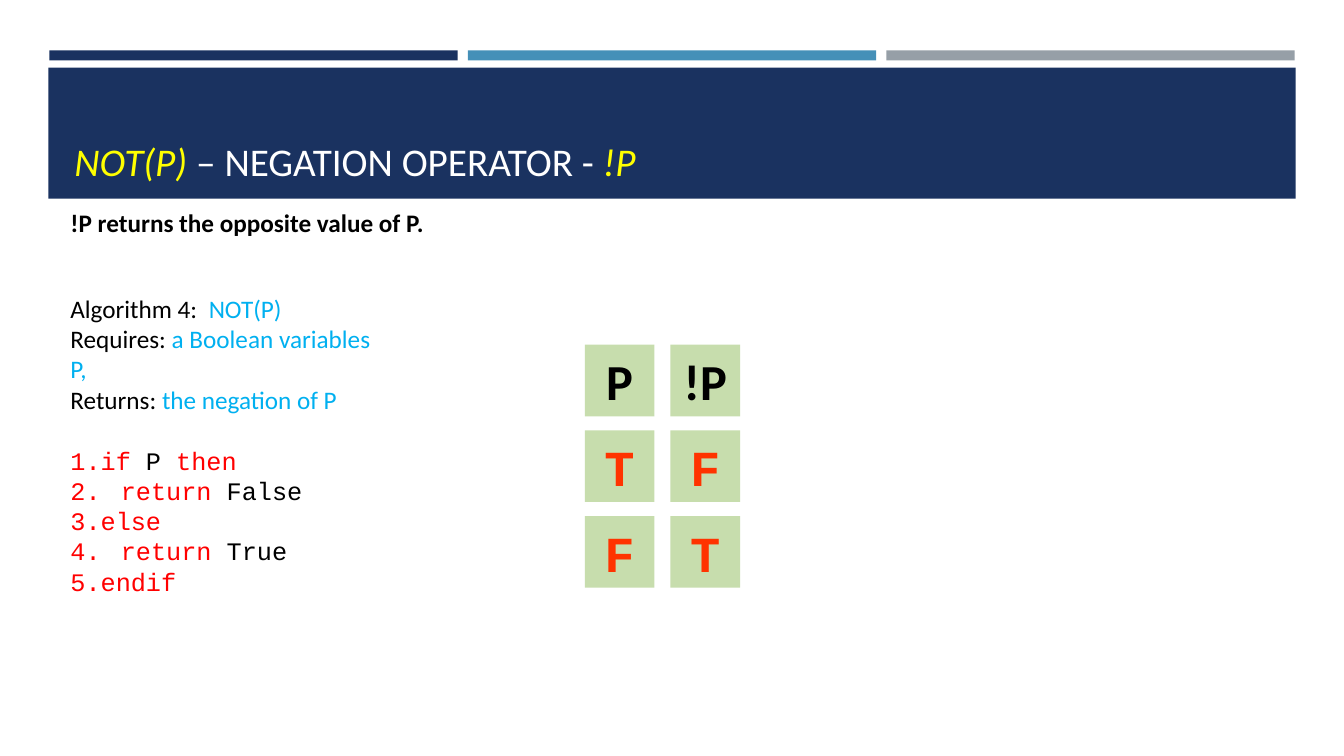
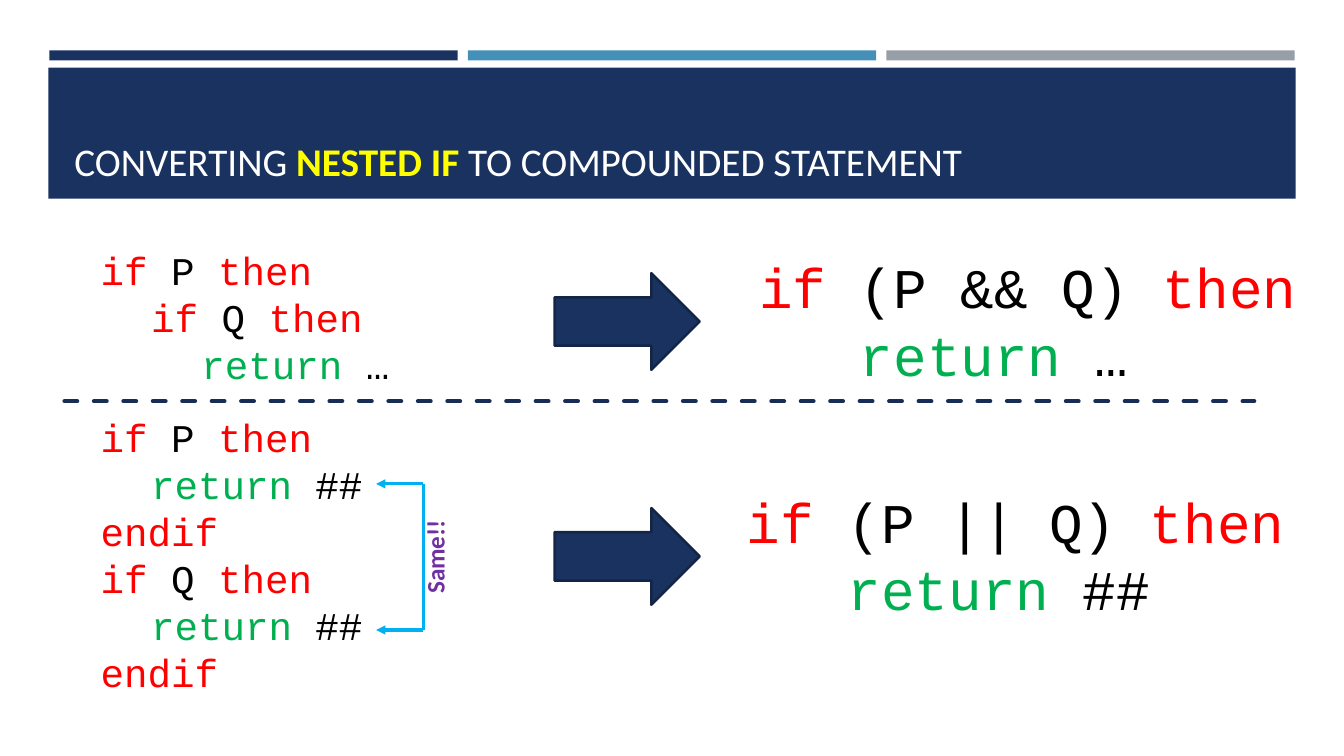
from dataclasses import dataclass

from lxml import etree
from pptx import Presentation
from pptx import util as u
from pptx.dml.color import RGBColor
from pptx.enum import dml, shapes, text
from pptx.oxml import ns


@dataclass(frozen=True)
class Theme:
    navy: str = "1A3260"
    blue: str = "4590B8"
    grey: str = "969FA7"
    arrow_edge: str = "132547"
    divider: str = "172D56"
    sky: str = "00B0F0"
    cell: str = "C7DDAD"
    white: str = "FFFFFF"
    black: str = "000000"
    yellow: str = "FFFF00"
    keyword: str = "FF0000"
    result: str = "00B050"
    truth: str = "FF3300"
    note: str = "7030A0"
    body_font: str = "Calibri"
    code_font: str = "Courier New"
    body_size: int = 18
    title_size: int = 28
    code_size: int = 28
    cell_size: int = 36
    large_code_size: int = 40
    tab: float = 0.5


THEME = Theme()


@dataclass
class Line:
    """A paragraph: runs are (text, colour[, style]) tuples."""
    runs: list
    font: str = THEME.body_font
    size: int = THEME.body_size
    bold: bool = False
    margin: float = 0
    hanging: float = 0
    space_before: float = 0
    centred: bool = False


# ---- Basic parts ----

def color(value):
    return RGBColor.from_string(value)


def write(frame, lines, wrap=True):
    frame.word_wrap = wrap
    for index, line in enumerate(lines):
        paragraph = frame.paragraphs[0] if index == 0 else frame.add_paragraph()
        paragraph.font.name = line.font
        paragraph.font.size = u.Pt(line.size)
        paragraph.font.bold = line.bold
        paragraph.space_before = u.Pt(line.space_before)
        paragraph.alignment = (text.PP_ALIGN.CENTER if line.centred
                               else text.PP_ALIGN.LEFT)
        properties = paragraph._p.get_or_add_pPr()
        properties.set("marL", str(u.Inches(line.margin)))
        properties.set("indent", str(-u.Inches(line.hanging)))
        for words, fill, *style in line.runs:
            run = paragraph.add_run()
            run.text = words
            run.font.color.rgb = color(fill)
            if "italic" in style:
                run.font.italic = True
            if "bold" in style:
                run.font.bold = True


def add_text(slide, box, lines, anchor=text.MSO_ANCHOR.TOP):
    shape = slide.shapes.add_textbox(*map(u.Inches, box))
    shape.text_frame.vertical_anchor = anchor
    write(shape.text_frame, lines)
    return shape


def add_block(slide, box, fill, kind=shapes.MSO_SHAPE.RECTANGLE, edge=None):
    shape = slide.shapes.add_shape(kind, *map(u.Inches, box))
    shape.shadow.inherit = False
    shape.fill.solid()
    shape.fill.fore_color.rgb = color(fill)
    if edge:
        shape.line.color.rgb = color(edge)
        shape.line.width = u.Pt(1.75)
    else:
        shape.line.fill.background()
    return shape


def add_line(slide, start, end, fill, width, dashed=False, arrow=False):
    connector = slide.shapes.add_connector(
        shapes.MSO_CONNECTOR.STRAIGHT, *map(u.Inches, start + end))
    connector.line.color.rgb = color(fill)
    connector.line.width = u.Pt(width)
    outline = connector.line._get_or_add_ln()
    if dashed:
        connector.line.dash_style = dml.MSO_LINE.DASH
        outline.set("cap", "rnd")
    if arrow:
        etree.SubElement(outline, ns.qn("a:tailEnd")).set("type", "triangle")
    etree.SubElement(connector._element.spPr, ns.qn("a:effectLst"))


# ---- Shared slide frame ----

def add_slide(presentation, title_runs):
    slide = presentation.slides.add_slide(presentation.slide_layouts[6])
    for column, fill in enumerate((THEME.navy, THEME.blue, THEME.grey)):
        add_block(slide, (0.49 + 4.15 * column, 0.5, 4.05, 0.1), fill)
    add_block(slide, (0.48, 0.67, 12.37, 1.3), THEME.navy)
    add_text(slide, (0.64, 0.77, 12.06, 1.11),
             [Line(title_runs, size=THEME.title_size)], text.MSO_ANCHOR.BOTTOM)
    return slide


# ---- Negation slide regions ----

def add_algorithm(slide, box):
    facts = [("Algorithm 4:  ", "NOT(P)"),
             ("Requires: ", "a Boolean variables P,"),
             ("Returns: ", "the negation of P")]
    steps = [[("1.if", THEME.keyword), (" P ", THEME.black), ("then", THEME.keyword)],
             [("2.\treturn", THEME.keyword), (" False", THEME.black)],
             [("3.else", THEME.keyword)],
             [("4.\treturn", THEME.keyword), (" True", THEME.black)],
             [("5.endif", THEME.keyword)]]
    lines = [Line([(label, THEME.black), (value, THEME.sky)])
             for label, value in facts]
    lines += [Line(runs, font=THEME.code_font, margin=THEME.tab, hanging=THEME.tab,
                   space_before=0 if index else 22)
              for index, runs in enumerate(steps)]
    add_text(slide, box, lines)


def add_truth_table(slide, box):
    left, top, width, height = box
    rows = [("P", "!P"), ("T", "F"), ("F", "T")]
    cell_width, cell_height = 0.69, 0.71
    column_step = width - cell_width
    row_step = (height - cell_height) / (len(rows) - 1)
    for row, values in enumerate(rows):
        font, fill = ((THEME.code_font, THEME.truth) if row
                      else (THEME.body_font, THEME.black))
        for column, value in enumerate(values):
            cell = add_block(slide, (left + column * column_step, top + row * row_step,
                                     cell_width, cell_height), THEME.cell)
            write(cell.text_frame, [Line([(value, fill)], font, THEME.cell_size,
                                         bold=True, centred=True)], wrap=False)


def negation_slide(presentation):
    slide = add_slide(presentation, [
        ("NOT(P) ", THEME.yellow, "italic"),
        ("– NEGATION OPERATOR - ", THEME.white),
        ("!P", THEME.yellow, "italic")])
    add_text(slide, (0.6, 2.01, 4.13, 0.4),
             [Line([("!P returns the opposite value of P.", THEME.black)], bold=True)])
    add_algorithm(slide, (0.6, 2.86, 3.37, 2.83))
    add_truth_table(slide, (5.8, 3.42, 1.54, 2.41))


# ---- Conversion slide regions ----

def condition(test):
    return [("if", THEME.keyword), (f" {test} ", THEME.black), ("then", THEME.keyword)]


def result(value):
    return [("return", THEME.result), (f" {value}", THEME.black)]


def add_code(slide, box, size, rows):
    """Rows are (indent level, runs) pairs."""
    add_text(slide, box, [Line(runs, THEME.code_font, size, margin=level * THEME.tab)
                          for level, runs in rows])


def add_conversion(slide, top, before, arrow_top, after_box, test, value):
    add_code(slide, (0.9, top, 3.09, 0.1 + 0.47 * len(before)), THEME.code_size, before)
    add_block(slide, (5.5, arrow_top, 1.44, 0.96), THEME.navy,
              shapes.MSO_SHAPE.RIGHT_ARROW, THEME.arrow_edge)
    add_code(slide, after_box, THEME.large_code_size,
             [(0, condition(test)), (2, result(value))])


def add_same_bracket(slide, box):
    left, top, width, height = box
    right, bottom = left + width, top + height
    for level in (top, bottom):
        add_line(slide, (right, level), (left, level), THEME.sky, 2.25, arrow=True)
    add_line(slide, (right, top), (right, bottom), THEME.sky, 2.25)
    label = add_text(slide, (right - 0.09, top + 0.19, 0.5, 1),
                     [Line([("Same!!", THEME.note)], bold=True)])
    label.text_frame._txBody.bodyPr.set("vert", "vert270")


def conversion_slide(presentation):
    slide = add_slide(presentation, [
        ("CONVERTING ", THEME.white),
        ("NESTED IF ", THEME.yellow, "bold"),
        ("TO COMPOUNDED STATEMENT", THEME.white)])
    nested = [(0, condition("P")), (1, condition("Q")), (2, result("…"))]
    repeated = [row for test in "PQ"
                for row in ((0, condition(test)), (1, result("##")),
                            (0, [("endif", THEME.keyword)]))]
    add_conversion(slide, 2.39, nested, 2.71, (7.43, 2.46, 5.59, 1.45), "(P && Q)", "…")
    add_conversion(slide, 4.05, repeated, 5.04, (7.31, 4.79, 5.59, 1.45), "(P || Q)", "##")
    add_line(slide, (0.64, 3.98), (12.44, 3.98), THEME.divider, 3, dashed=True)
    add_same_bracket(slide, (3.73, 4.8, 0.47, 1.45))


presentation = Presentation()
presentation.slide_width = u.Inches(13.33)
presentation.slide_height = u.Inches(7.5)
negation_slide(presentation)
conversion_slide(presentation)
presentation.save("out.pptx")
